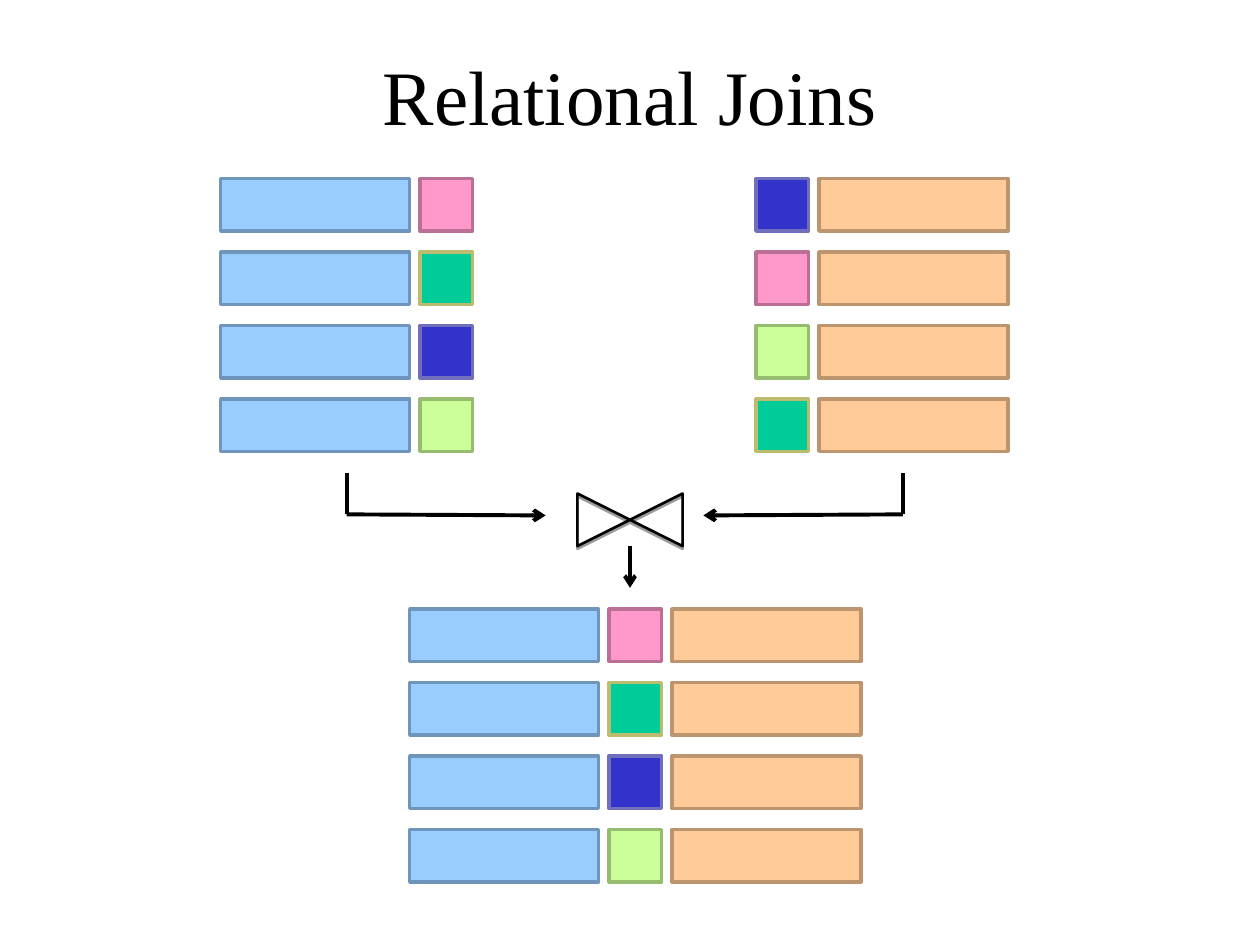
from lxml import etree
from pptx import Presentation
from pptx.dml.color import RGBColor
from pptx.enum.shapes import MSO_CONNECTOR, MSO_SHAPE
from pptx.enum.text import MSO_ANCHOR, PP_ALIGN
from pptx.oxml import parse_xml
from pptx.oxml.ns import nsdecls, qn
from pptx.util import Cm, Pt

# fill and outline of each kind of cell
BLUE = ("99CCFF", "6F95BC")
ORANGE = ("FFCC99", "BC956F")
PINK = ("FF99CC", "BC6F95")
GREEN = ("00CC99", "BCBC6F")
INDIGO = ("3333CC", "6F6FBC")
LIME = ("CCFF99", "95BC6F")

KEY_W, DATA_W, CELL_H = 1.06, 3.81, 1.06
GAP, ROW_PITCH = 0.21, 1.48


def rgb(value):
    return RGBColor.from_string(value)


prs = Presentation()
prs.slide_width, prs.slide_height = Cm(25.4), Cm(19.05)
s = prs.slides.add_slide(prs.slide_layouts[5])

title = s.shapes.title
title.left, title.top, title.width, title.height = Cm(1.9), Cm(0.64), Cm(21.6), Cm(2.54)
tf = title.text_frame
tf.text = "Relational Joins"
tf.vertical_anchor = MSO_ANCHOR.MIDDLE
p = tf.paragraphs[0]
p.alignment = PP_ALIGN.CENTER
r = p.runs[0]
r.font.name, r.font.size = "Times New Roman", Pt(44)
r.font.color.rgb = rgb("000000")

# Join symbol: a collate shape turned on its side
bowtie = s.shapes.add_shape(MSO_SHAPE.FLOWCHART_COLLATE, Cm(12.17), Cm(9.42), Cm(1.06), Cm(2.12))
bowtie.rotation = 90
bowtie.fill.background()
bowtie.line.color.rgb = rgb("000000")
bowtie.line.width = Pt(1.5)
bowtie._element.spPr.append(parse_xml(
    f'<a:effectLst {nsdecls("a")}>'
    f'<a:outerShdw blurRad="0" dist="{Pt(1.6)}" dir="5400000" rotWithShape="0">'
    '<a:srgbClr val="000000"><a:alpha val="38000"/></a:srgbClr>'
    '</a:outerShdw></a:effectLst>'))

# Flow lines: x1, y1, x2, y2, arrowhead at the end
flow_lines = [
    (6.99, 10.37, 11.0, 10.39, True),
    (6.99, 10.37, 6.99, 9.53, False),
    (18.2, 10.37, 14.18, 10.39, True),
    (18.2, 10.37, 18.2, 9.53, False),
    (12.7, 11.0, 12.7, 11.85, True),
]
for x1, y1, x2, y2, has_arrow in flow_lines:
    line = s.shapes.add_connector(MSO_CONNECTOR.STRAIGHT, Cm(x1), Cm(y1), Cm(x2), Cm(y2))
    line.line.color.rgb = rgb("000000")
    line.line.width = Pt(2.25)
    if has_arrow:
        etree.SubElement(line.line._get_or_add_ln(), qn("a:tailEnd"), type="arrow")
    etree.SubElement(line._element.spPr, qn("a:effectLst"))

# Relations: left, top, rows of cells
relations = [
    (4.45, 3.6, [(BLUE, key) for key in (PINK, GREEN, INDIGO, LIME)]),
    (15.24, 3.6, [(key, ORANGE) for key in (INDIGO, PINK, LIME, GREEN)]),
    (8.26, 12.28, [(BLUE, key, ORANGE) for key in (PINK, GREEN, INDIGO, LIME)]),
]
for left, top, rows in relations:
    for i, row in enumerate(rows):
        x = left
        for cell in row:
            width = DATA_W if cell in (BLUE, ORANGE) else KEY_W
            sp = s.shapes.add_shape(MSO_SHAPE.RECTANGLE, Cm(x), Cm(top + i * ROW_PITCH),
                                    Cm(width), Cm(CELL_H))
            sp.shadow.inherit = False
            fill, outline = cell
            sp.fill.solid()
            sp.fill.fore_color.rgb = rgb(fill)
            sp.line.color.rgb = rgb(outline)
            sp.line.width = Pt(2)
            x += width + GAP

prs.save("out.pptx")
